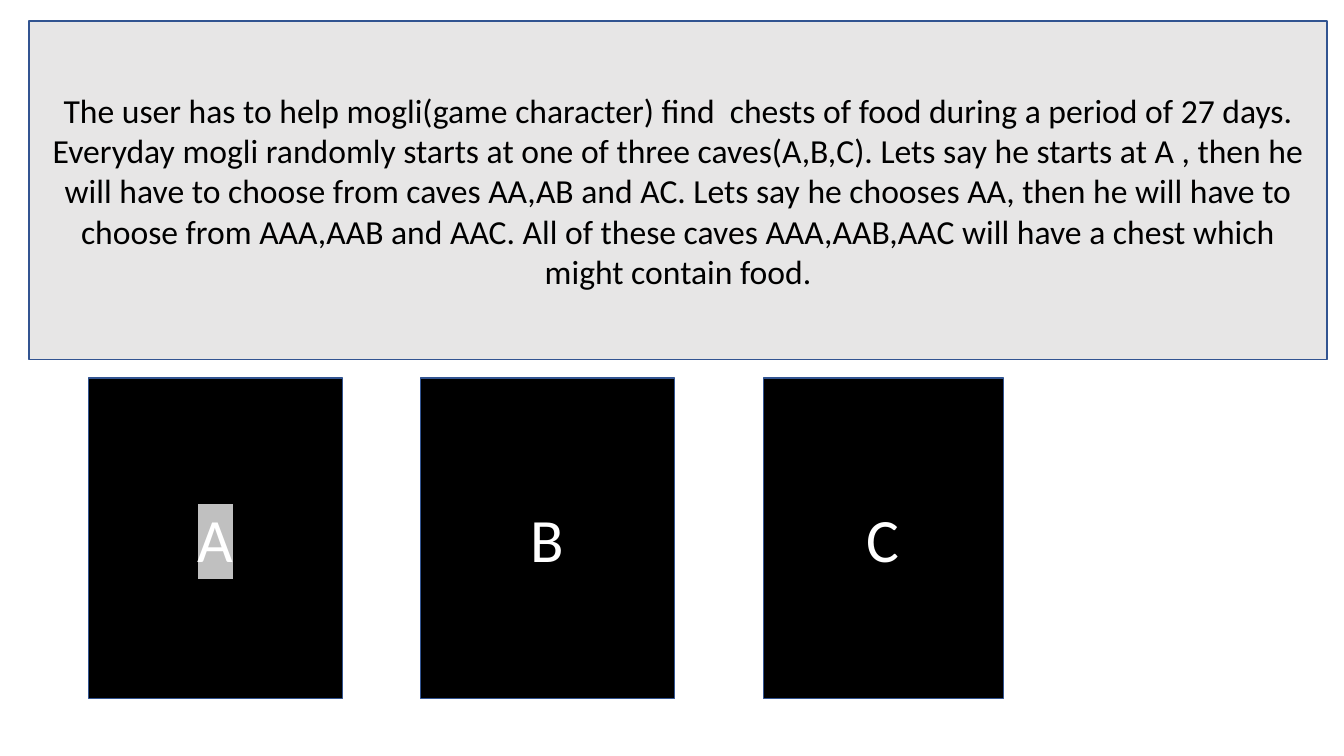
from dataclasses import dataclass

from lxml.etree import SubElement
from pptx import Presentation
from pptx.dml.color import RGBColor as Color
from pptx.enum.shapes import MSO_SHAPE as Shape
from pptx.enum.text import MSO_ANCHOR as Anchor, PP_ALIGN as Align
from pptx.oxml.ns import qn
from pptx.util import Inches, Pt


@dataclass(frozen=True)
class Theme:
    font: str = "Calibri"
    story_size: int = 24
    cave_size: int = 44
    outline_width: int = 1
    outline: str = "325491"
    story_fill: str = "E7E6E6"
    story_text: str = "000000"
    cave_fill: str = "000000"
    cave_text: str = "FFFFFF"
    highlight: str = "C0C0C0"


theme = Theme()
presentation = Presentation()
presentation.slide_width = Inches(13.33)
presentation.slide_height = Inches(7.5)
slide = presentation.slides.add_slide(presentation.slide_layouts[6])
column = presentation.slide_width / 100
row = presentation.slide_height / 100


def add_panel(left, top, width, height, fill):
    panel = slide.shapes.add_shape(
        Shape.RECTANGLE,
        round(left * column), round(top * row),
        round(width * column), round(height * row),
    )
    panel.shadow.inherit = False
    panel.fill.solid()
    panel.fill.fore_color.rgb = Color.from_string(fill)
    panel.line.color.rgb = Color.from_string(theme.outline)
    panel.line.width = Pt(theme.outline_width)
    return panel


def write_text(panel, *lines, size, color, highlight=None):
    frame = panel.text_frame
    frame.word_wrap = True
    frame.vertical_anchor = Anchor.MIDDLE
    for index, line in enumerate(lines):
        paragraph = frame.add_paragraph() if index else frame.paragraphs[0]
        paragraph.alignment = Align.CENTER
        run = paragraph.add_run()
        run.text = line
        run.font.size = Pt(size)
        run.font.color.rgb = Color.from_string(color)
        if highlight:
            marker = SubElement(run.font.fill._xPr, qn("a:highlight"))
            SubElement(marker, qn("a:srgbClr"), val=highlight)
        run.font.name = theme.font


caves = [
    ("A", 6.6, 18.9, theme.highlight),
    ("B", 31.3, 18.9, None),
    ("C", 56.8, 17.85, None),
]
for name, left, width, highlight in caves:
    cave = add_panel(left, 50, width, 42.4, theme.cave_fill)
    write_text(cave, name, size=theme.cave_size, color=theme.cave_text, highlight=highlight)

story = add_panel(2.15, 2.8, 96.6, 44.8, theme.story_fill)
write_text(
    story,
    "The user has to help mogli(game character) find  chests of food during a period of 27 days.",
    "Everyday mogli randomly starts at one of three caves(A,B,C). Lets say he starts at A , "
    "then he will have to choose from caves AA,AB and AC. Lets say he chooses AA, "
    "then he will have to choose from AAA,AAB and AAC. "
    "All of these caves AAA,AAB,AAC will have a chest which might contain food.",
    size=theme.story_size,
    color=theme.story_text,
)

presentation.save("out.pptx")
